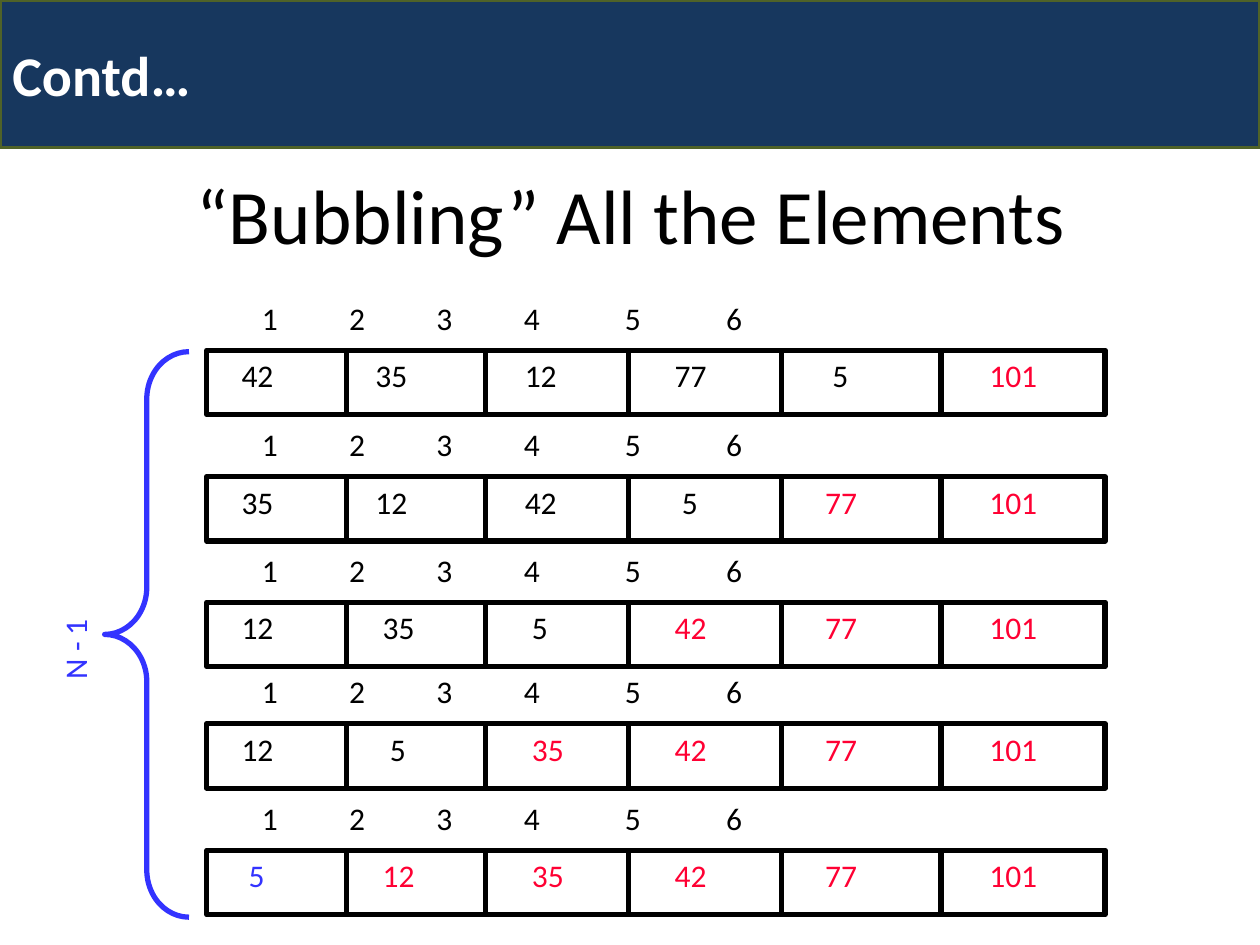
"""Build the slide on bubbling all the elements of a list."""
from lxml import etree
from pptx import Presentation
from pptx import util as u
from pptx.dml.color import RGBColor
from pptx.enum import shapes, text
from pptx.oxml import ns

BLACK = RGBColor(0, 0, 0)
WHITE = RGBColor(255, 255, 255)
RED = RGBColor(0xFF, 0x00, 0x33)
BLUE = RGBColor(0x33, 0x33, 0xFF)
NAVY = RGBColor(0x17, 0x37, 0x5E)
GREEN = RGBColor(0x4F, 0x62, 0x28)

LEFT, WIDE, HIGH = 4.17, 18.11, 1.3
WALLS = (6.98, 9.79, 12.67, 15.76, 18.97)
COLS = (4.62, 7.32, 10.33, 13.35, 16.24, 19.55)
TABS = (1.76, 3.52, 5.28, 7.32, 9.36)
SPACE = 0.145
PASSES = (
    (7.06, (42, 35, 12, 77, 5, 101), (0, 0, 0, 0, 2, 1)),
    (9.61, (35, 12, 42, 5, 77, 101), (0, 0, 0, 1, 1, 1)),
    (12.14, (12, 35, 5, 42, 77, 101), (0, 1, 1, 0, 1, 1)),
    (14.59, (12, 5, 35, 42, 77, 101), (0, 2, 1, 0, 1, 1)),
    (17.14, (5, 12, 35, 42, 77, 101), (1, 1, 1, 0, 1, 1)),
)


def write(frame, words, size=18, color=BLACK, bold=False, tabs=(),
          align=text.PP_ALIGN.LEFT, anchor=text.MSO_ANCHOR.TOP):
    """Put formatted words into a text frame."""
    frame.word_wrap = True
    frame.vertical_anchor = anchor
    par = frame.paragraphs[0]
    par.text = words
    par.alignment = align
    if tabs:
        stops = etree.SubElement(par._p.get_or_add_pPr(), ns.qn("a:tabLst"))
        for stop in tabs:
            etree.SubElement(stops, ns.qn("a:tab"), pos=str(u.Cm(stop)), algn="l")
    font = par.runs[0].font
    font.name, font.size, font.bold = "Calibri", u.Pt(size), bold
    font.color.rgb = color


class Deck:
    """Hold the line style and the current slide."""

    def __init__(self, slide, weight=3):
        self.slide = slide
        self.weight = weight

    def shape(self, kind, x, y, w, h, line=BLACK, fill=None, weight=None):
        """Add a preset shape."""
        item = self.slide.shapes.add_shape(kind, u.Cm(x), u.Cm(y), u.Cm(w), u.Cm(h))
        item.shadow.inherit = False
        if fill is None:
            item.fill.background()
        else:
            item.fill.solid()
            item.fill.fore_color.rgb = fill
        item.line.color.rgb = line
        item.line.width = u.Pt(weight or self.weight)
        return item

    def wall(self, x, y, h):
        """Add an upright line."""
        item = self.slide.shapes.add_connector(
            shapes.MSO_CONNECTOR.STRAIGHT, u.Cm(x), u.Cm(y), u.Cm(x), u.Cm(y + h))
        item.line.color.rgb = BLACK
        item.line.width = u.Pt(self.weight)
        etree.SubElement(item._element.spPr, ns.qn("a:effectLst"))

    def label(self, words, x, y, w, h=1.27, **form):
        """Add a text box."""
        box = self.slide.shapes.add_textbox(u.Cm(x), u.Cm(y), u.Cm(w), u.Cm(h))
        write(box.text_frame, words, **form)
        return box

    def array(self, top, vals, pads, done):
        """Add one numbered row of cells, red from index done on."""
        self.shape(shapes.MSO_SHAPE.RECTANGLE, LEFT, top, WIDE, HIGH)
        for x in WALLS:
            self.wall(x, top, HIGH)
        for i, (val, x, pad) in enumerate(zip(vals, COLS, pads)):
            color = RED if i >= done else BLUE if done == 1 else BLACK
            self.label(str(val), x + pad * SPACE, top, 2, color=color)
        self.label("1\t2\t3\t4\t5\t6", 5.03, top - 1.16, 15.95, tabs=TABS)


def main():
    """Draw and save the slide."""
    show = Presentation()
    show.slide_width, show.slide_height = u.Cm(25.4), u.Cm(19.05)
    deck = Deck(show.slides.add_slide(show.slide_layouts[6]))
    deck.label("“Bubbling” All the Elements", 1.3, 2.72, 22.86, 3.18, size=44,
               align=text.PP_ALIGN.CENTER, anchor=text.MSO_ANCHOR.MIDDLE)
    for i, (top, vals, pads) in enumerate(PASSES):
        deck.array(top, vals, pads, len(vals) - 1 - i)
    brace = deck.shape(shapes.MSO_SHAPE.LEFT_BRACE, 2.11, 7.09, 1.7, 11.4, line=BLUE)
    brace.adjustments[0] = 0.56
    deck.label("N - 1", 0.46, 12.14, 2.34, color=BLUE).rotation = 270
    head = deck.shape(shapes.MSO_SHAPE.ROUNDED_RECTANGLE, 0, 0, 25.4, 2.97,
                      line=GREEN, fill=NAVY, weight=2)
    head.adjustments[0] = 0
    write(head.text_frame, "Contd…", size=32, color=WHITE, bold=True,
          anchor=text.MSO_ANCHOR.MIDDLE)
    show.save("out.pptx")


if __name__ == "__main__":
    main()
